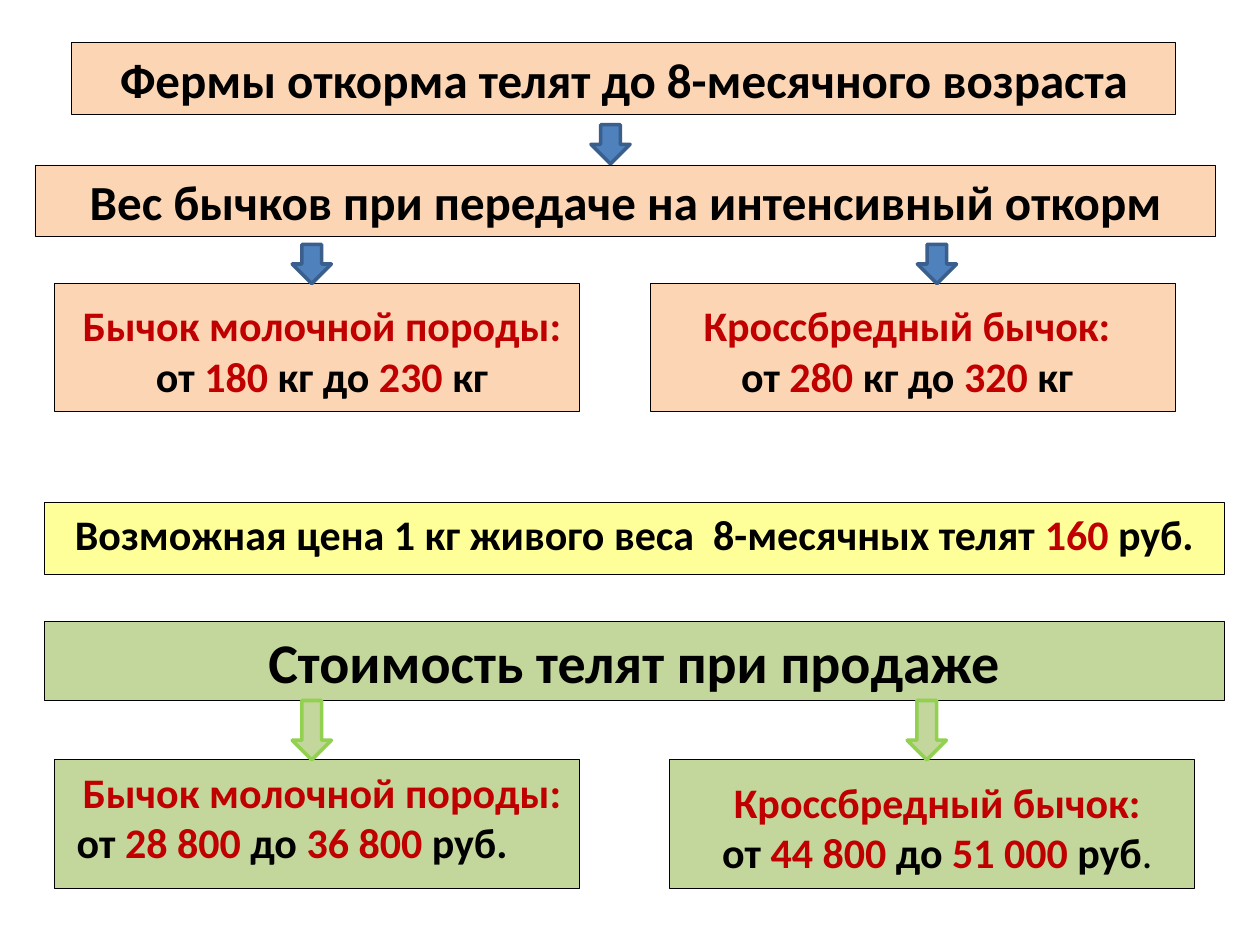
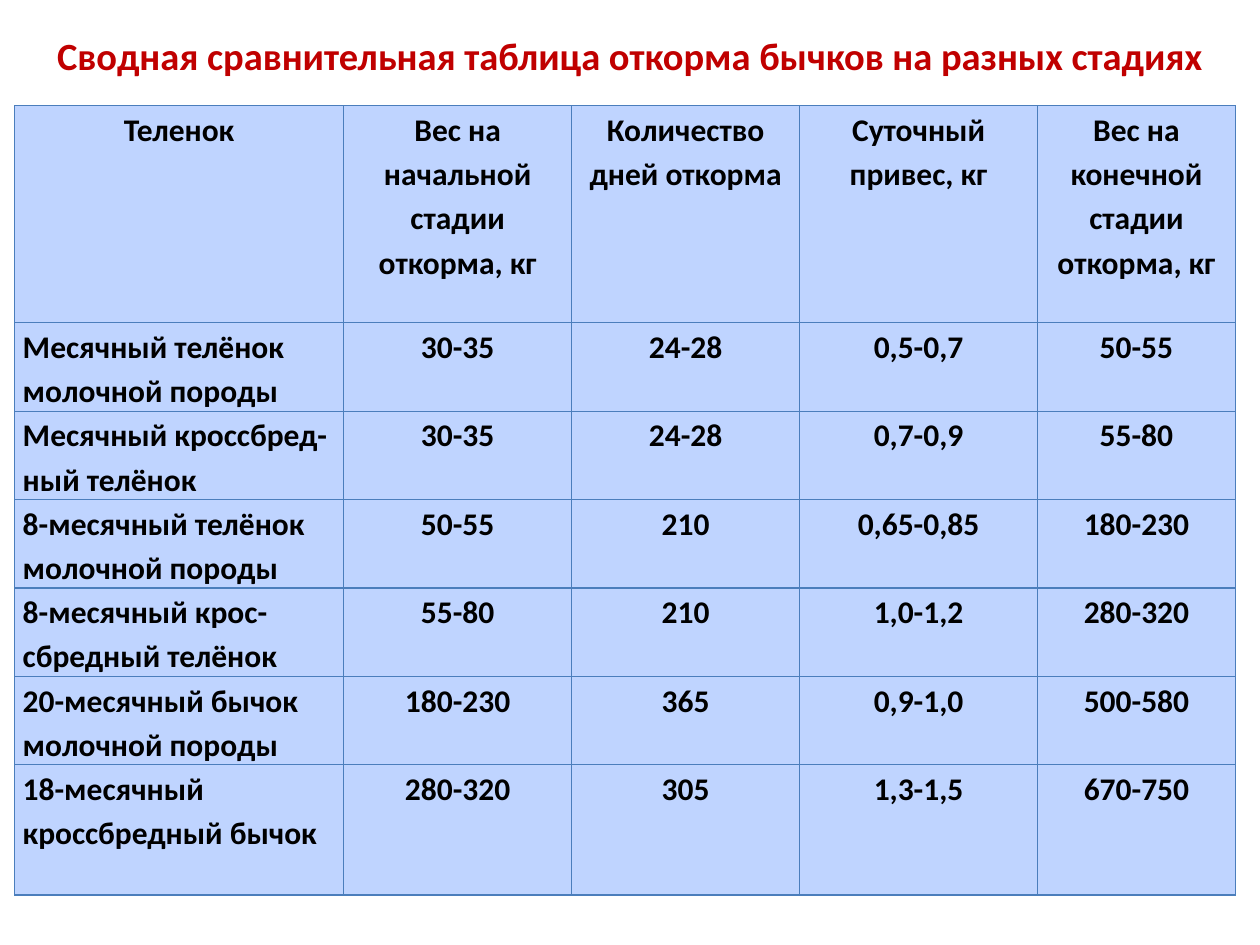
from pptx import Presentation
from pptx.dml.color import RGBColor
from pptx.enum.shapes import MSO_SHAPE
from pptx.enum.text import MSO_ANCHOR, MSO_AUTO_SIZE, PP_ALIGN
from pptx.oxml import parse_xml
from pptx.oxml.ns import nsdecls
from pptx.util import Pt

HUES = {
    "ink": "000000", "red": "C00000", "peach": "FCD5B5", "lemon": "FFFF99",
    "green": "C3D69B", "lime": "92D050", "blue": "4F81BD", "navy": "3A5F8C",
    "sky": "BFD4FF", "grid": "4B7EBC",
}
FONT = {"name": "Calibri", "bold": True}
FRAME = {"word_wrap": True, "auto_size": MSO_AUTO_SIZE.NONE,
         "vertical_anchor": MSO_ANCHOR.TOP}
CELL = {"margin_left": Pt(4.6), "margin_right": Pt(4.6),
        "margin_top": 0, "margin_bottom": 0}
CENTER, LEFT = PP_ALIGN.CENTER, PP_ALIGN.LEFT

WIDE, TALL = 300, 73.4      # breed cards
HIGH = 41                   # banners
SPAN = 674.6
HEADS = ["Теленок", "Вес на начальной стадии откорма, кг",
         "Количество дней откорма", "Суточный привес, кг",
         "Вес на конечной стадии откорма, кг"]
STAGES = [
    ["Месячный телёнок молочной породы", "30-35", "24-28", "0,5-0,7", "50-55"],
    ["Месячный кроссбред-ный телёнок", "30-35", "24-28", "0,7-0,9", "55-80"],
    ["8-месячный телёнок молочной породы", "50-55", "210", "0,65-0,85", "180-230"],
    ["8-месячный крос-сбредный телёнок", "55-80", "210", "1,0-1,2", "280-320"],
    ["20-месячный бычок молочной породы", "180-230", "365", "0,9-1,0", "500-580"],
    ["18-месячный кроссбредный бычок", "280-320", "305", "1,3-1,5", "670-750"],
]


def color(hue):
    return RGBColor.from_string(HUES[hue])


def assign(item, values):
    for key, value in values.items():
        setattr(item, key, value)


class Deck:
    def __init__(self):
        self.file = Presentation()
        assign(self.file, {"slide_width": Pt(720), "slide_height": Pt(540)})

    def page(self):
        self.slide = self.file.slides.add_slide(self.file.slide_layouts[5])

    def piece(self, par, text, size, hue="ink", **more):
        run = par.add_run()
        run.text = text
        assign(run.font, {**FONT, "size": Pt(size), **more})
        run.font.color.rgb = color(hue)

    def label(self, par, text, size, hue="ink", align=CENTER, **more):
        """Fill a paragraph; parts between bars take turns in hue and red."""
        assign(par, {"alignment": align, "space_before": 0, **more})
        for at, part in enumerate(text.split("|")):
            self.piece(par, part, size, "red" if at % 2 else hue)

    def paint(self, shape, fill, line="ink", width=0.5):
        shape.fill.solid()
        shape.fill.fore_color.rgb = color(fill)
        shape.line.color.rgb = color(line)
        shape.line.width = Pt(width)

    def shape(self, kind, box, *look):
        shape = self.slide.shapes.add_shape(kind, *map(Pt, box))
        shape.shadow.inherit = False
        self.paint(shape, *look)
        return shape

    def title(self, box, text, size, hue="ink", anchor=MSO_ANCHOR.TOP):
        title = self.slide.shapes.title
        assign(title, dict(zip(("left", "top", "width", "height"), map(Pt, box))))
        assign(title.text_frame, {**FRAME, "vertical_anchor": anchor})
        self.label(title.text_frame.paragraphs[0], text, size, hue)
        return title

    def banner(self, box, text, size, fill):
        shape = self.shape(MSO_SHAPE.RECTANGLE, box, fill)
        assign(shape.text_frame, FRAME)
        self.label(shape.text_frame.paragraphs[0], text, size, space_after=Pt(10))

    def arrow(self, left, top, high, *hues):
        self.shape(MSO_SHAPE.DOWN_ARROW, (left, top, 22.4, high), *hues, 2)

    def card(self, left, top, fill, area, name, value, align=CENTER):
        """Draw a breed card; area is the left, top and width of its text."""
        self.shape(MSO_SHAPE.RECTANGLE, (left, top, WIDE, TALL), fill)
        box = self.slide.shapes.add_textbox(*map(Pt, (*area, 65.4)))
        assign(box.text_frame, FRAME)
        self.label(box.text_frame.paragraphs[0], name, 24, "red")
        last = box.text_frame.add_paragraph()
        self.label(last, value, 24, align=align)
        return last

    def edge(self, cell):
        for side in "LRTB":
            cell._tc.get_or_add_tcPr().append(parse_xml(
                f'<a:ln{side} {nsdecls("a")} w="{Pt(0.75)}"><a:solidFill>'
                f'<a:srgbClr val="{HUES["grid"]}"/></a:solidFill></a:ln{side}>'))

    def table(self, left, top, rows, widths, heights):
        box = map(Pt, (left, top, sum(widths), sum(heights)))
        grid = self.slide.shapes.add_table(len(rows), len(widths), *box).table
        assign(grid, {"first_row": False, "horz_banding": False})
        for col, width in zip(grid.columns, widths):
            col.width = Pt(width)
        for y, (row, high) in enumerate(zip(rows, heights)):
            grid.rows[y].height = Pt(high)
            for x, text in enumerate(row):
                cell = grid.cell(y, x)
                assign(cell, CELL)
                self.edge(cell)
                cell.fill.solid()
                cell.fill.fore_color.rgb = color("sky")
                align = LEFT if y and not x else CENTER
                self.label(cell.text_frame.paragraphs[0], text, 18,
                           align=align, line_spacing=1.15)


def farms(deck):
    deck.page()
    head = deck.title((41, 24.5, 631, HIGH),
                      "Фермы откорма телят до 8-месячного возраста", 28)
    deck.paint(head, "peach")
    deck.banner((20, 94.3, SPAN, HIGH),
                "Вес бычков при передаче на интенсивный откорм", 28, "peach")
    milk, cross = "Бычок молочной породы:", "Кроссбредный бычок:"
    deck.card(31, 162, "peach", (36.7, 167.8, 294.5), milk,
              "от| 180 |кг до |230 |кг")
    deck.card(371.5, 162, "peach", (382.3, 167.8, 272), cross,
              "от |280| кг до |320| кг")
    for left, top in (337.7, 71.3), (524.2, 139.7), (167, 139.7):
        deck.arrow(left, top, 22.4, "blue", "navy")

    deck.banner((25.2, 287.3, SPAN, HIGH),
                "Возможная цена 1 кг живого веса  8-месячных телят |160| руб.",
                24, "lemon")
    deck.banner((25.2, 355, SPAN, 45.4), "Стоимость телят при продаже", 32, "green")
    deck.card(31, 434.2, "green", (36.7, 434.2, 294.5), milk,
              "от |28 800 |до |36 800 |руб.", LEFT)
    last = deck.card(382.3, 434.2, "green", (393.8, 440, 283.7), cross,
                     "от |44 800 |до |51 000 |руб")
    deck.piece(last, ".", 24, bold=False)
    for left in 167, 518.4:
        deck.arrow(left, 400.3, 33.9, "green", "lime")


def stages(deck):
    deck.page()
    deck.title((0, 14.4, 720, 34),
               "Сводная сравнительная таблица откорма бычков на разных стадиях",
               22, "red", MSO_ANCHOR.MIDDLE)
    deck.table(8.4, 60.4, [HEADS, *STAGES], [188, 130.3, 130.3, 136, 113],
               [124, *[49.7] * 5, 74.3])


def main():
    deck = Deck()
    farms(deck)
    stages(deck)
    deck.file.save("out.pptx")


if __name__ == "__main__":
    main()
